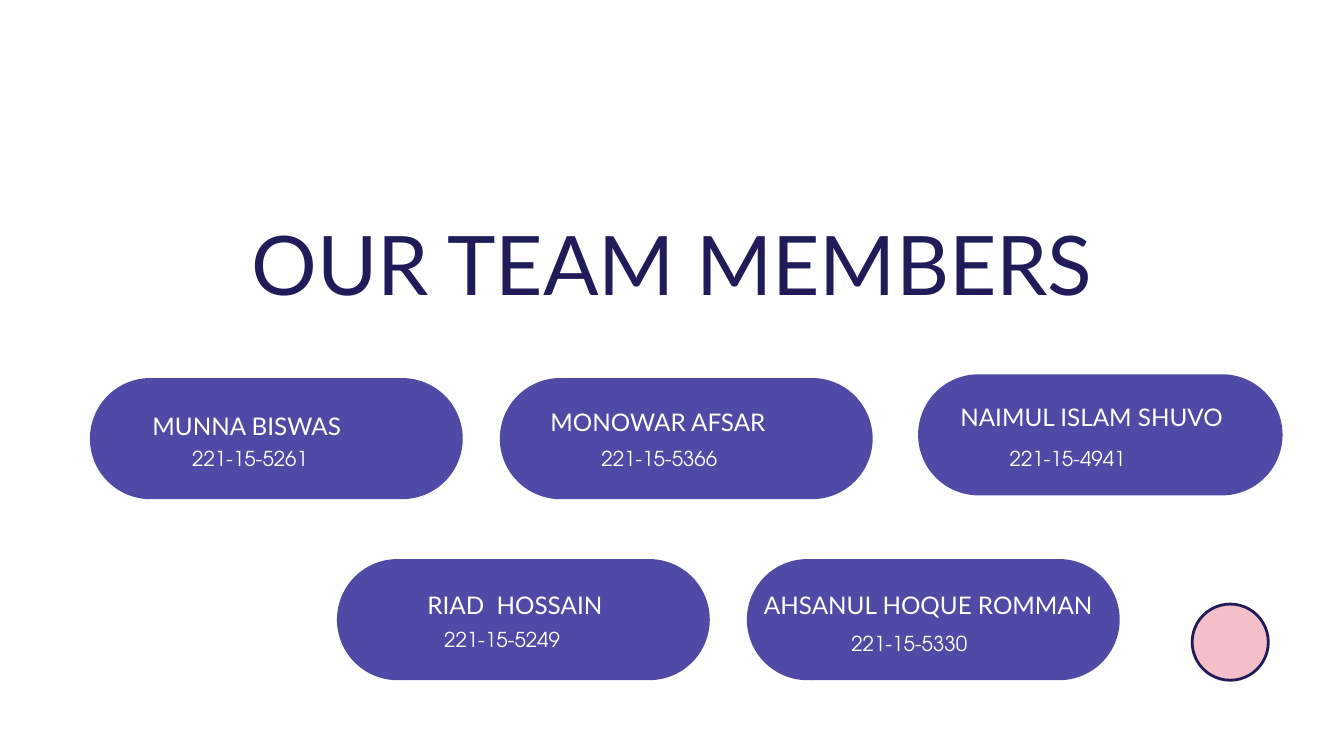
from typing import NamedTuple

from pptx import Presentation
from pptx.dml.color import RGBColor
from pptx.enum.shapes import MSO_SHAPE as Shape
from pptx.enum.text import MSO_ANCHOR as Anchor, MSO_AUTO_SIZE as Fit, PP_ALIGN as Align
from pptx.util import Pt

VIOLET = RGBColor(0x50, 0x4A, 0xA7)
NAVY = RGBColor(0x20, 0x1C, 0x59)
PINK = RGBColor(0xF4, 0xBF, 0xC9)
WHITE = RGBColor(0xFF, 0xFF, 0xFF)

PILL_W, PILL_H = 390.5, 129.8
CAP_SHIFT = 9  # the round cap sticks out left of its pill


class Style(NamedTuple):
    font: str
    size: float
    lead: float
    color: RGBColor
    align: Align = Align.LEFT


class Box(NamedTuple):
    left: float
    top: float
    width: float
    height: float


class Member(NamedTuple):
    name: str
    code: str
    pill: tuple[float, float]
    name_box: Box
    code_box: Box
    cap: bool = True


TITLE = Style("Lato", 88, 105.6, NAVY, Align.CENTER)
NAME = Style("Lato", 26, 36.4, WHITE)
CODE = Style("TeX Gyre Adventor", 22, 30.8, WHITE)

TEAM = [
    Member("MUNNA BISWAS", "221-15-5261", (105.3, 405),
           Box(163.4, 434.9, 288, 35), Box(205.9, 473.8, 164, 30)),
    Member("MONOWAR AFSAR", "221-15-5366", (544.5, 405),
           Box(589.7, 430.6, 288, 35), Box(644.4, 473.8, 164, 30)),
    Member("NAIMUL ISLAM SHUVO", "221-15-4941", (983.7, 401),
           Box(1028.9, 426.2, 330, 33), Box(1081.8, 473.8, 199, 30), cap=False),
    Member("RIAD  HOSSAIN", "221-15-5249", (370, 599),
           Box(457.9, 627.1, 263.5, 35), Box(475.9, 667.4, 213, 30)),
    Member("AHSANUL HOQUE ROMMAN", "221-15-5330", (809.2, 599),
           Box(818.6, 627.1, 381.6, 35), Box(912.2, 671.8, 213, 30)),
]


def place(shape, box: Box) -> None:
    shape.left, shape.top, shape.width, shape.height = map(Pt, box)


def write(shape, text: str, style: Style) -> None:
    frame = shape.text_frame
    frame.word_wrap = True
    frame.auto_size = Fit.NONE
    frame.vertical_anchor = Anchor.TOP
    frame.margin_left = frame.margin_right = frame.margin_top = frame.margin_bottom = 0
    para = frame.paragraphs[0]
    para.text = text
    para.alignment = style.align
    para.line_spacing = Pt(style.lead)
    para.font.name = style.font
    para.font.size = Pt(style.size)
    para.font.color.rgb = style.color


def add_label(slide, text: str, box: Box, style: Style) -> None:
    write(slide.shapes.add_textbox(*map(Pt, box)), text, style)


def add_solid(slide, kind: Shape, box: Box, color: RGBColor):
    """Add a filled preset shape with no line."""
    shape = slide.shapes.add_shape(kind, *map(Pt, box))
    shape.shadow.inherit = False
    shape.fill.solid()
    shape.fill.fore_color.rgb = color
    shape.line.fill.background()
    return shape


def add_member(slide, member: Member) -> None:
    left, top = member.pill
    pill = add_solid(slide, Shape.ROUNDED_RECTANGLE, Box(left, top, PILL_W, PILL_H), VIOLET)
    pill.adjustments[0] = 0.5
    if member.cap:
        add_solid(slide, Shape.OVAL, Box(left - CAP_SHIFT, top, PILL_H, PILL_H), VIOLET)
    add_label(slide, member.name, member.name_box, NAME)
    add_label(slide, member.code, member.code_box, CODE)


def main() -> None:
    deck = Presentation()
    deck.slide_width, deck.slide_height = Pt(1440), Pt(810)
    slide = deck.slides.add_slide(deck.slide_layouts[5])

    title = slide.shapes.title
    place(title, Box(163.2, 228.2, 1113.8, 105.1))
    write(title, "OUR TEAM MEMBERS", TITLE)

    for member in TEAM:
        add_member(slide, member)

    dot = add_solid(slide, Shape.OVAL, Box(1277.3, 647.2, 81.6, 81.6), PINK)
    dot.line.color.rgb = NAVY
    dot.line.width = Pt(3)

    deck.save("out.pptx")


if __name__ == "__main__":
    main()
